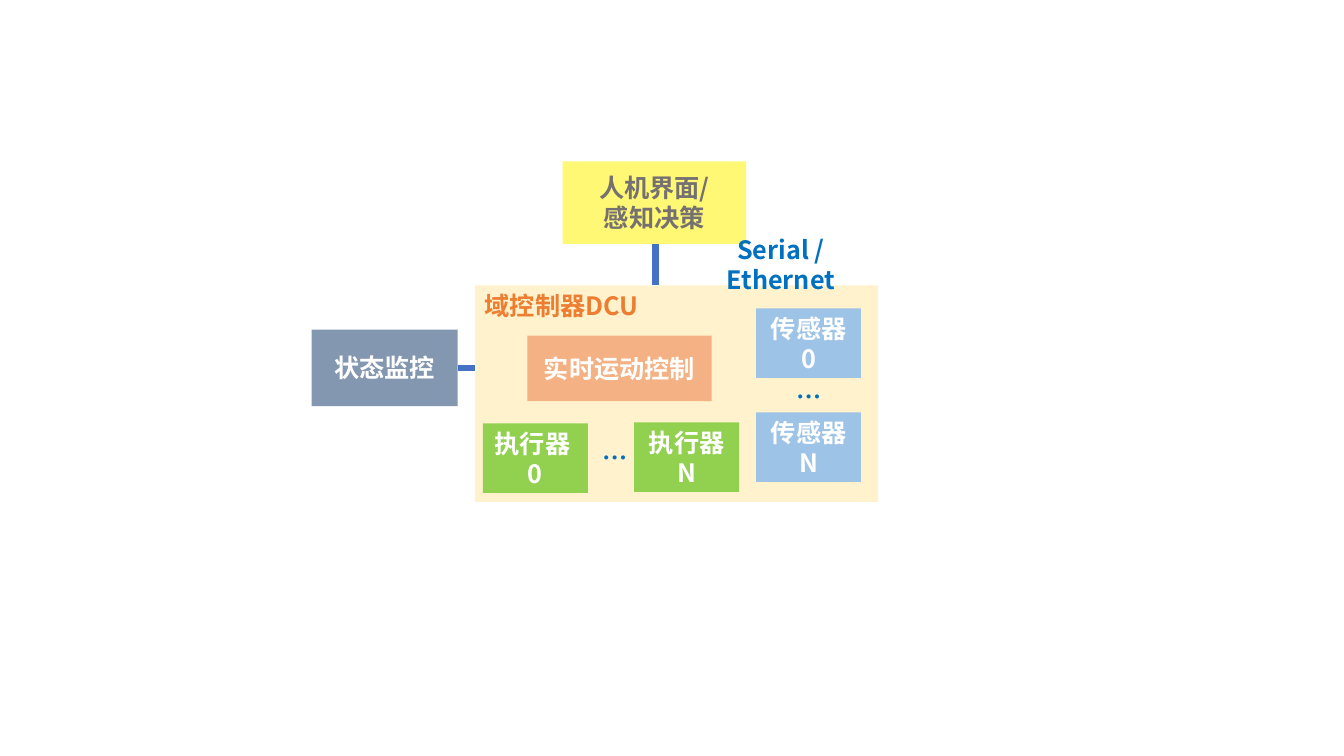
from dataclasses import dataclass

from lxml import etree
from pptx import Presentation
from pptx.dml.color import RGBColor
from pptx.enum import shapes, text
from pptx.oxml.ns import qn
from pptx.util import Inches, Pt


@dataclass(frozen=True)
class Theme:
    font: str = "Noto Sans CJK SC"
    size: int = 18
    rule: float = 4.5
    white: str = "FFFFFF"
    cream: str = "FFF2CC"
    orange: str = "ED7D31"
    yellow: str = "FFF875"
    gray: str = "767171"
    peach: str = "F4B183"
    green: str = "92D050"
    slate: str = "8497B0"
    sky: str = "9DC3E6"
    line: str = "4472C4"
    blue: str = "0070C0"


class Board:
    """Draw styled boxes, labels and links on one slide."""

    def __init__(self, slide, theme):
        self.items = slide.shapes
        self.theme = theme

    def letter(self, shape, words, color, top=False):
        frame = shape.text_frame
        frame.word_wrap = True
        anchor = text.MSO_ANCHOR
        frame.vertical_anchor = anchor.TOP if top else anchor.MIDDLE
        frame.text = words
        align = text.PP_ALIGN
        for par in frame.paragraphs:
            par.alignment = align.LEFT if top else align.CENTER
            font = par.font
            font.name = self.theme.font
            font.size = Pt(self.theme.size)
            font.bold = True
            font.color.rgb = RGBColor.from_string(color)
            latin = par._p.pPr.find(qn("a:defRPr")).find(qn("a:latin"))
            east = etree.Element(qn("a:ea"), typeface=self.theme.font)
            latin.addnext(east)

    def box(self, words, area, fill, color=None, top=False):
        kind = shapes.MSO_SHAPE.RECTANGLE
        shape = self.items.add_shape(kind, *map(Inches, area))
        shape.shadow.inherit = False
        shape.fill.solid()
        shape.fill.fore_color.rgb = RGBColor.from_string(fill)
        shape.line.fill.background()
        self.letter(shape, words, color or self.theme.white, top)

    def label(self, words, area):
        shape = self.items.add_textbox(*map(Inches, area))
        self.letter(shape, words, self.theme.blue)

    def link(self, *ends):
        kind = shapes.MSO_CONNECTOR.STRAIGHT
        line = self.items.add_connector(kind, *map(Inches, ends))
        line.line.color.rgb = RGBColor.from_string(self.theme.line)
        line.line.width = Pt(self.theme.rule)
        etree.SubElement(line._element.spPr, qn("a:effectLst"))


def main():
    deck = Presentation()
    deck.slide_width = Inches(13.33)
    deck.slide_height = Inches(7.5)
    theme = Theme()
    board = Board(deck.slides.add_slide(deck.slide_layouts[6]), theme)

    board.box("域控制器DCU", (4.71, 2.83, 4, 2.15), theme.cream, theme.orange, top=True)
    board.box("人机界面/\n感知决策", (5.58, 1.6, 1.82, 0.82), theme.yellow, theme.gray)
    board.box("实时运动控制", (5.23, 3.33, 1.83, 0.65), theme.peach)
    board.box("状态监控", (3.09, 3.27, 1.45, 0.76), theme.slate)

    wide, high = 1.04, 0.69
    units = [
        ("执行器 \n0", 4.79, 4.2, theme.green),
        ("执行器\nN", 6.29, 4.19, theme.green),
        ("传感器\n0", 7.5, 3.06, theme.sky),
        ("传感器\nN", 7.5, 4.09, theme.sky),
    ]
    for words, left, top, fill in units:
        board.box(words, (left, top, wide, high), fill)

    board.link(6.5, 2.42, 6.5, 2.83)
    board.link(4.54, 3.65, 4.71, 3.65)

    board.label("Serial / Ethernet", (6.69, 2.28, 2.11, high))
    for left, top in [(5.85, 4.19), (7.77, 3.59)]:
        board.label("…", (left, top, 0.5, high))

    deck.save("out.pptx")


if __name__ == "__main__":
    main()
